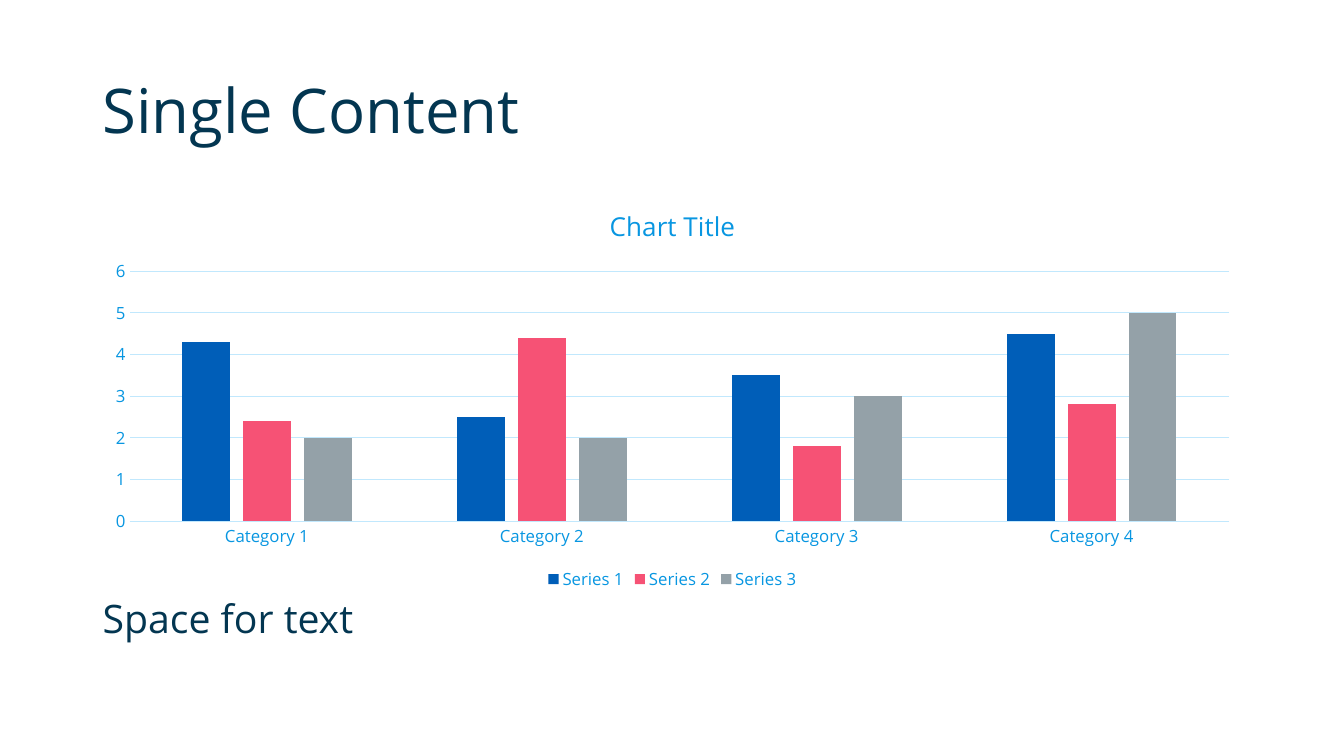
import dataclasses

import pptx
import pptx.chart.data
import pptx.dml.color
import pptx.enum.chart
import pptx.enum.text
import pptx.util
from pptx.util import Inches


@dataclasses.dataclass(frozen=True)
class Theme:
    font: str = "Open Sans"
    ink: str = "033651"
    label: str = "0896E1"
    grid: str = "C1E8FD"
    background: str = "FFFFFF"
    title_size: float = 44
    body_size: float = 28
    chart_title_size: float = 18.6
    label_size: float = 12
    line_width: float = 0.75


@dataclasses.dataclass(frozen=True)
class TextBlock:
    text: str
    top: float
    height: float
    size: float
    anchor: pptx.enum.text.MSO_ANCHOR
    space_before: float = 0


@dataclasses.dataclass(frozen=True)
class Series:
    name: str
    values: tuple[float, ...]
    color: str


THEME = Theme()
LEFT, WIDTH = 0.92, 11.5
CHART_TOP, CHART_HEIGHT = 1.85, 4.05

TEXTS = (
    TextBlock("Single Content", 0.4, 1.45, THEME.title_size,
              pptx.enum.text.MSO_ANCHOR.MIDDLE),
    TextBlock("Space for text", 5.9, 0.86, THEME.body_size,
              pptx.enum.text.MSO_ANCHOR.TOP, space_before=10),
)
CATEGORIES = [f"Category {n}" for n in range(1, 5)]
SERIES = (
    Series("Series 1", (4.3, 2.5, 3.5, 4.5), "005EB8"),
    Series("Series 2", (2.4, 4.4, 1.8, 2.8), "F65275"),
    Series("Series 3", (2, 2, 3, 5), "94A1A8"),
)


def rgb(color: str) -> pptx.dml.color.RGBColor:
    return pptx.dml.color.RGBColor.from_string(color)


def style_font(font, size: float, color: str) -> None:
    font.name = THEME.font
    font.size = pptx.util.Pt(size)
    font.bold = False
    font.color.rgb = rgb(color)


def style_line(line) -> None:
    line.color.rgb = rgb(THEME.grid)
    line.width = pptx.util.Pt(THEME.line_width)


def write_text(tf, text: str, *, size: float, color: str,
               line_spacing: float | None = None, space_before: float = 0) -> None:
    p = tf.paragraphs[0]
    p.line_spacing = line_spacing
    p.space_before = pptx.util.Pt(space_before)
    r = p.add_run()
    r.text = text
    style_font(r.font, size, color)


def add_text(s, block: TextBlock) -> None:
    sp = s.shapes.add_textbox(Inches(LEFT), Inches(block.top),
                              Inches(WIDTH), Inches(block.height))
    tf = sp.text_frame
    tf.word_wrap = True
    tf.vertical_anchor = block.anchor
    write_text(tf, block.text, size=block.size, color=THEME.ink,
               line_spacing=0.9, space_before=block.space_before)


def add_column_chart(s) -> None:
    data = pptx.chart.data.CategoryChartData()
    data.categories = CATEGORIES
    for series in SERIES:
        data.add_series(series.name, series.values)
    chart = s.shapes.add_chart(
        pptx.enum.chart.XL_CHART_TYPE.COLUMN_CLUSTERED,
        Inches(LEFT), Inches(CHART_TOP), Inches(WIDTH), Inches(CHART_HEIGHT), data).chart
    style_font(chart.font, THEME.label_size, THEME.label)

    # Title and legend
    chart.has_title = True
    chart.chart_title.include_in_layout = False
    write_text(chart.chart_title.text_frame, "Chart Title",
               size=THEME.chart_title_size, color=THEME.label)
    chart.has_legend = True
    chart.legend.position = pptx.enum.chart.XL_LEGEND_POSITION.BOTTOM
    chart.legend.include_in_layout = False
    style_font(chart.legend.font, THEME.label_size, THEME.label)

    # Axes and gridlines
    for axis in (chart.category_axis, chart.value_axis):
        axis.major_tick_mark = pptx.enum.chart.XL_TICK_MARK.NONE
        axis.minor_tick_mark = pptx.enum.chart.XL_TICK_MARK.NONE
        style_font(axis.tick_labels.font, THEME.label_size, THEME.label)
    style_line(chart.category_axis.format.line)
    value_axis = chart.value_axis
    value_axis.minimum_scale, value_axis.maximum_scale = 0, 6
    value_axis.major_unit = 1
    value_axis.format.line.fill.background()
    value_axis.has_major_gridlines = True
    style_line(value_axis.major_gridlines.format.line)

    # Columns
    plot = chart.plots[0]
    plot.vary_by_categories = False
    plot.gap_width, plot.overlap = 219, -27
    for column, series in zip(plot.series, SERIES):
        column.format.fill.solid()
        column.format.fill.fore_color.rgb = rgb(series.color)
        column.invert_if_negative = False


def main() -> None:
    prs = pptx.Presentation()
    prs.slide_width, prs.slide_height = Inches(13.33), Inches(7.5)
    s = prs.slides.add_slide(prs.slide_layouts[6])
    s.background.fill.solid()
    s.background.fill.fore_color.rgb = rgb(THEME.background)
    for block in TEXTS:
        add_text(s, block)
    add_column_chart(s)
    prs.save("out.pptx")


if __name__ == "__main__":
    main()
